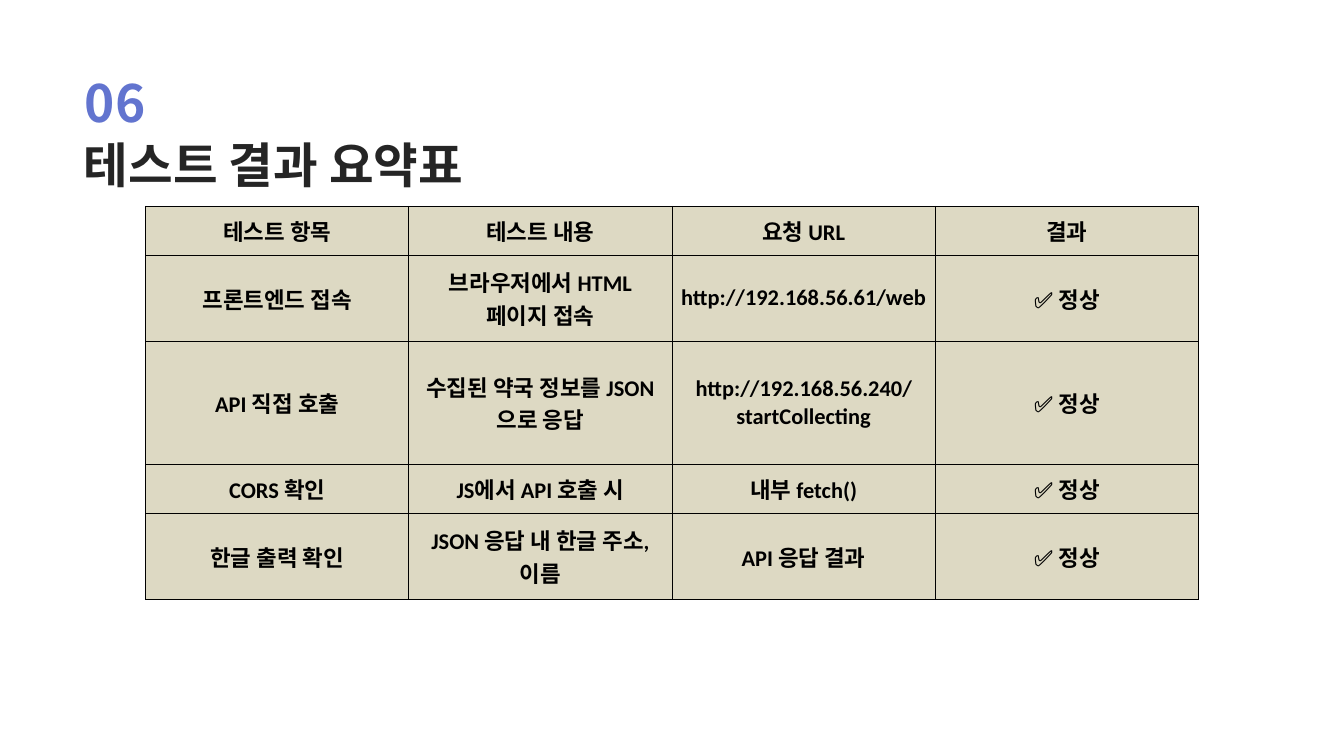
from lxml.etree import SubElement as Sub
from pptx import Presentation
from pptx.dml.color import RGBColor as Rgb
from pptx.enum.text import MSO_ANCHOR as Anchor, MSO_AUTO_SIZE as Auto, PP_ALIGN as Align
from pptx.oxml.ns import qn
from pptx.util import Pt

SANS = "Noto Sans CJK KR"
INK = "000000"
SAND = "DDD9C3"
WIDTH = 282
HEIGHTS = [52.5, 92.25, 131.75, 52.5, 92.25]
GOOD = "✅ 정상"
ROWS = [
    ["테스트 항목", "테스트 내용", "요청 URL", "결과"],
    ["프론트엔드 접속", "브라우저에서 HTML 페이지 접속", "http://192.168.56.61/web", GOOD],
    ["API 직접 호출", "수집된 약국 정보를 JSON으로 응답",
     "http://192.168.56.240/startCollecting", GOOD],
    ["CORS 확인", "JS에서 API 호출 시", "내부 fetch()", GOOD],
    ["한글 출력 확인", "JSON 응답 내 한글 주소, 이름", "API 응답 결과", GOOD],
]


def color(code):
    return Rgb.from_string(code)


def write(frame, text, size=24, font="Calibri", ink=INK, align=None, lead=None, east=None, track=None):
    para = frame.paragraphs[0]
    para.alignment = align
    if lead:
        para.line_spacing = Pt(lead)
    run = para.add_run()
    run.text = text
    run.font.size = Pt(size)
    run.font.name = font
    run.font.bold = True
    run.font.color.rgb = color(ink)
    props = run.font._element
    if east:
        Sub(props, qn("a:ea")).set("typeface", east)
    if track:
        props.set("spc", str(round(track * 100)))


def add_head(slide, text, left, top, width, height, **form):
    box = slide.shapes.add_textbox(Pt(left), Pt(top), Pt(width), Pt(height))
    frame = box.text_frame
    frame.margin_left = frame.margin_right = frame.margin_top = frame.margin_bottom = 0
    frame.word_wrap = True
    frame.auto_size = Auto.SHAPE_TO_FIT_TEXT
    write(frame, text, font=SANS, east=SANS, **form)


def add_edges(cell, ink, width):
    props = cell._tc.get_or_add_tcPr()
    for side in ("lnL", "lnR", "lnT", "lnB"):
        line = Sub(props, qn(f"a:{side}"), w=str(Pt(width)))
        fill = Sub(line, qn("a:solidFill"))
        Sub(fill, qn("a:srgbClr"), val=ink)


def add_grid(slide, left, top):
    count = len(ROWS[0])
    grid = slide.shapes.add_table(len(ROWS), count, Pt(left), Pt(top),
                                  Pt(WIDTH * count), Pt(sum(HEIGHTS))).table
    for col in grid.columns:
        col.width = Pt(WIDTH)
    for r, (texts, height) in enumerate(zip(ROWS, HEIGHTS)):
        grid.rows[r].height = Pt(height)
        for c, text in enumerate(texts):
            cell = grid.cell(r, c)
            add_edges(cell, INK, 1)
            cell.fill.solid()
            cell.fill.fore_color.rgb = color(SAND)
            cell.vertical_anchor = Anchor.MIDDLE
            write(cell.text_frame, text, align=Align.CENTER)


def main():
    deck = Presentation()
    deck.slide_width, deck.slide_height = Pt(1440), Pt(810)
    slide = deck.slides.add_slide(deck.slide_layouts[6])
    add_head(slide, "06", 90, 32.5, 110, 99.5, size=55, ink="6274CF", lead=110, track=1.3)
    add_head(slide, "테스트 결과 요약표", 90, 103, 443.5, 93.5, size=52, ink="252525", lead=104)
    add_grid(slide, 156, 221)
    deck.save("out.pptx")


if __name__ == "__main__":
    main()
